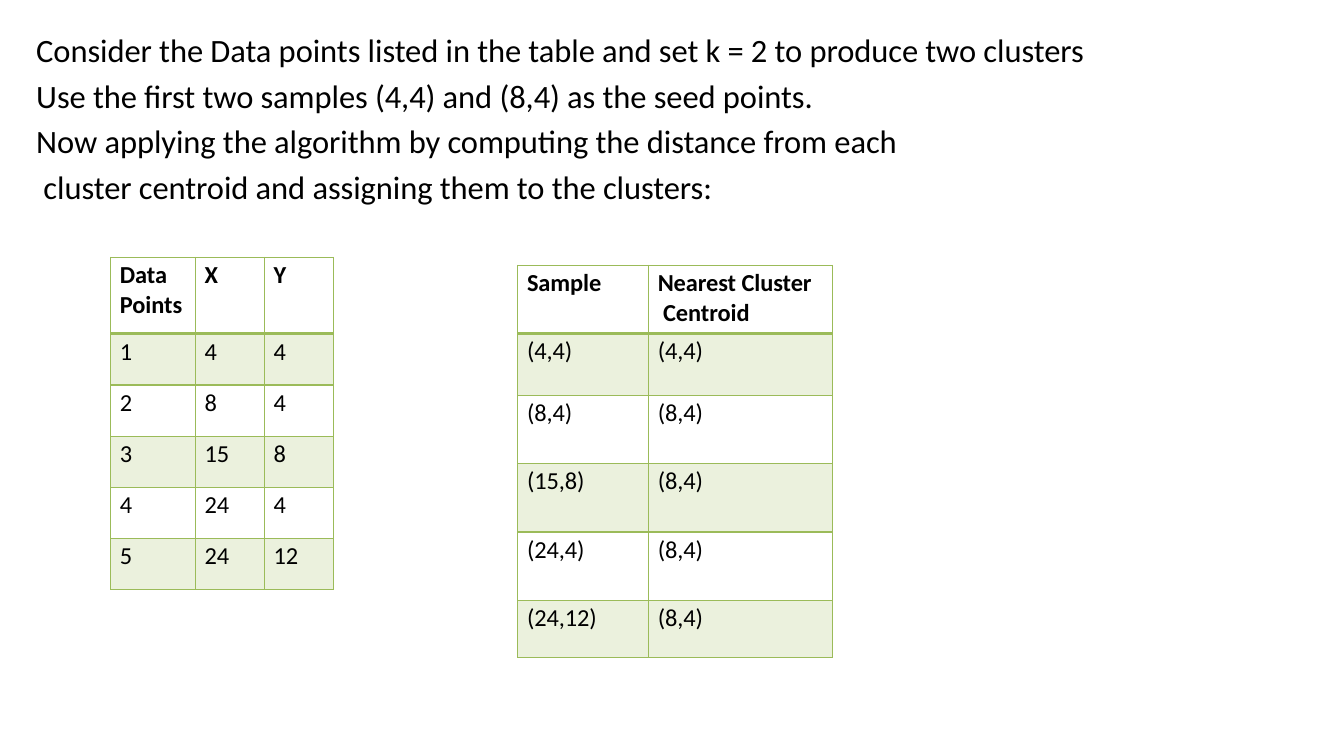
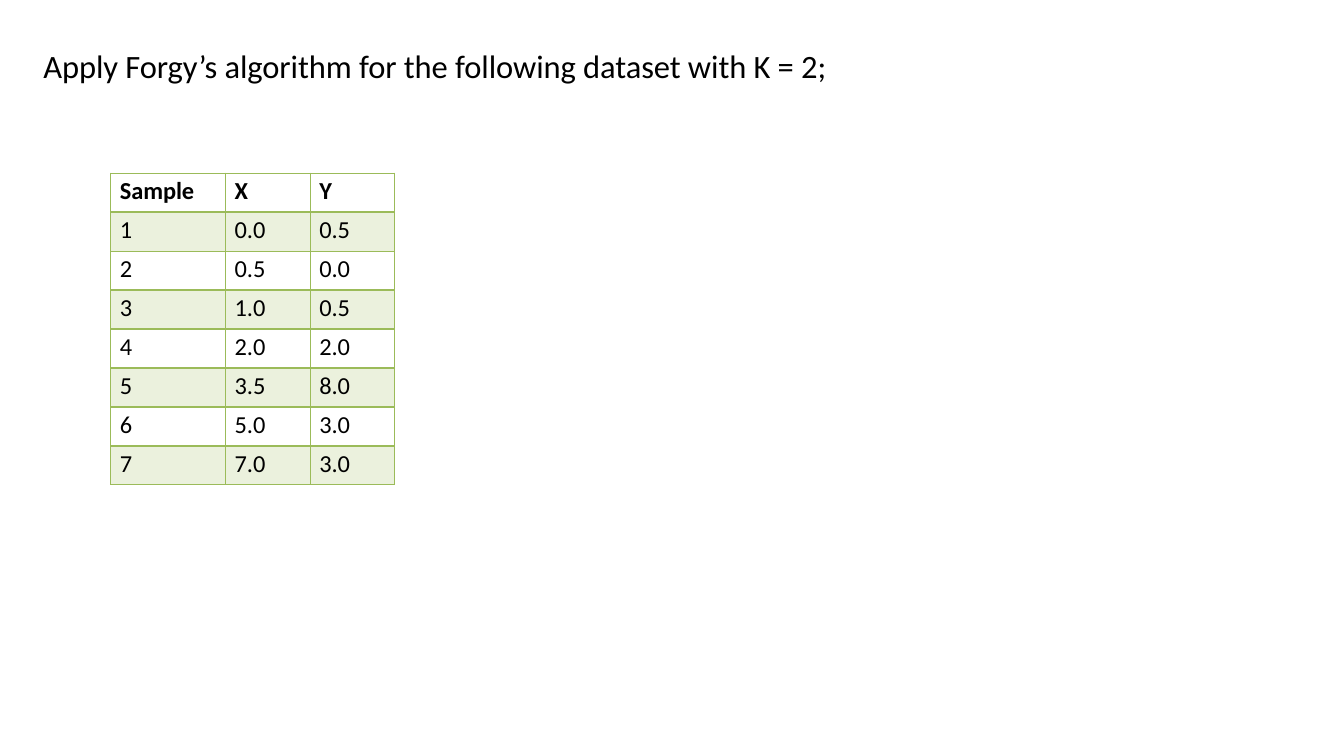
from lxml import etree
from pptx import Presentation
from pptx.dml.color import RGBColor
from pptx.enum.text import MSO_ANCHOR, PP_ALIGN
from pptx.oxml.ns import qn
from pptx.util import Emu, Pt

TOP = MSO_ANCHOR.TOP
LEFT = PP_ALIGN.LEFT

EMU_PER_PX = 3175  # 288 px to the inch
COLOURS = {"text": "000000", "border": "9BBB59", "band": "EBF1DD"}
FONT = {"name": "Calibri", "italic": False}
TITLE_FONT = {**FONT, "size": Pt(24), "bold": False}
HEADER_FONT = {**FONT, "size": Pt(18), "bold": True}
BODY_FONT = {**HEADER_FONT, "bold": False}
LETTER_SPACING = -5  # hundredths of a point
THIN, THICK = Pt(1), Pt(2.25)


def px(length):
    return Emu(length * EMU_PER_PX)


def set_attributes(target, values):
    for name, value in values.items():
        setattr(target, name, value)


TITLE_FRAME = {"word_wrap": True, "vertical_anchor": TOP, "margin_left": px(3),
               "margin_top": px(3), "margin_right": 0, "margin_bottom": 0}
CELL_FORMAT = {"vertical_anchor": TOP, "margin_left": px(27),
               "margin_top": px(9), "margin_right": 0, "margin_bottom": 0}


def style_paragraph(paragraph, font):
    paragraph.alignment = LEFT
    for run in paragraph.runs:
        set_attributes(run.font, font)
        run.font.color.rgb = RGBColor.from_string(COLOURS["text"])
        run.font._element.set("spc", str(LETTER_SPACING))


def add_title(slide, box, paragraphs, line_spacing=1.0):
    frame = slide.shapes.add_textbox(*map(px, box)).text_frame
    set_attributes(frame, TITLE_FRAME)
    frame.text = "\n".join(paragraphs)
    for paragraph in frame.paragraphs:
        paragraph.line_spacing = line_spacing
        style_paragraph(paragraph, TITLE_FONT)


def set_borders(cell, widths):
    """Draw the cell's edges; widths maps L, R, T, B to line widths."""
    properties = cell._tc.get_or_add_tcPr()
    for side, width in widths.items():
        line = etree.SubElement(properties, qn(f"a:ln{side}"), w=str(width))
        fill = etree.SubElement(line, qn("a:solidFill"))
        etree.SubElement(fill, qn("a:srgbClr"), val=COLOURS["border"])


def style_cell(cell, row_index):
    set_attributes(cell, CELL_FORMAT)
    set_borders(cell, {"L": THIN, "R": THIN,
                       "T": THICK if row_index == 1 else THIN,
                       "B": THICK if row_index == 0 else THIN})
    if row_index % 2:
        cell.fill.solid()
        cell.fill.fore_color.rgb = RGBColor.from_string(COLOURS["band"])
    else:
        cell.fill.background()
    for paragraph in cell.text_frame.paragraphs:
        style_paragraph(paragraph, BODY_FONT if row_index else HEADER_FONT)


def add_data_table(slide, left, top, widths, heights, rows):
    """Place a table with a bold header and tinted odd rows."""
    table = slide.shapes.add_table(
        len(rows), len(widths), px(left), px(top),
        px(sum(widths)), px(sum(heights))).table
    table.horz_banding = False
    for column, width in zip(table.columns, widths):
        column.width = px(width)
    for row_index, (row, height, values) in enumerate(
            zip(table.rows, heights, rows)):
        row.height = px(height)
        for cell, value in zip(row.cells, values):
            cell.text_frame.text = value
            style_cell(cell, row_index)


def numbered_rows(points):
    return [(str(number), str(x), str(y))
            for number, (x, y) in enumerate(points, 1)]


def build_seed_slide(slide):
    add_title(slide, (104, 66, 3113, 544), [
        "Consider the Data points listed in the table and set k = 2 to produce"
        " two clusters\vUse the first two samples (4,4) and (8,4) as the seed points.",
        "Now applying the algorithm by computing the distance from each"
        "\v cluster centroid and assigning them to the clusters:",
    ], line_spacing=1.17)
    points = [(4, 4), (8, 4), (15, 8), (24, 4), (24, 12)]
    add_data_table(
        slide, 327, 760, [250, 204, 204], [225] + [151] * len(points),
        [("Data\vPoints", "X", "Y")] + numbered_rows(points))
    centroids = ["(4,4)"] + ["(8,4)"] * 4
    add_data_table(
        slide, 1529, 783, [386, 544], [201, 182, 202, 202, 202, 168],
        [("Sample", "Nearest Cluster\v Centroid")]
        + [(f"({x},{y})", centroid)
           for (x, y), centroid in zip(points, centroids)])


def build_exercise_slide(slide):
    add_title(slide, (125, 132, 2330, 124),
              ["Apply Forgy’s algorithm for the following dataset with K = 2;"])
    samples = [(0.0, 0.5), (0.5, 0.0), (1.0, 0.5), (2.0, 2.0),
               (3.5, 8.0), (5.0, 3.0), (7.0, 3.0)]
    add_data_table(
        slide, 327, 511, [339, 250, 250], [115] * (len(samples) + 1),
        [("Sample", "X", "Y")] + numbered_rows(samples))


def main():
    presentation = Presentation()
    presentation.slide_width = px(3968)
    presentation.slide_height = px(2160)
    blank = presentation.slide_layouts[6]
    for build in (build_seed_slide, build_exercise_slide):
        build(presentation.slides.add_slide(blank))
    presentation.save("out.pptx")


if __name__ == "__main__":
    main()
